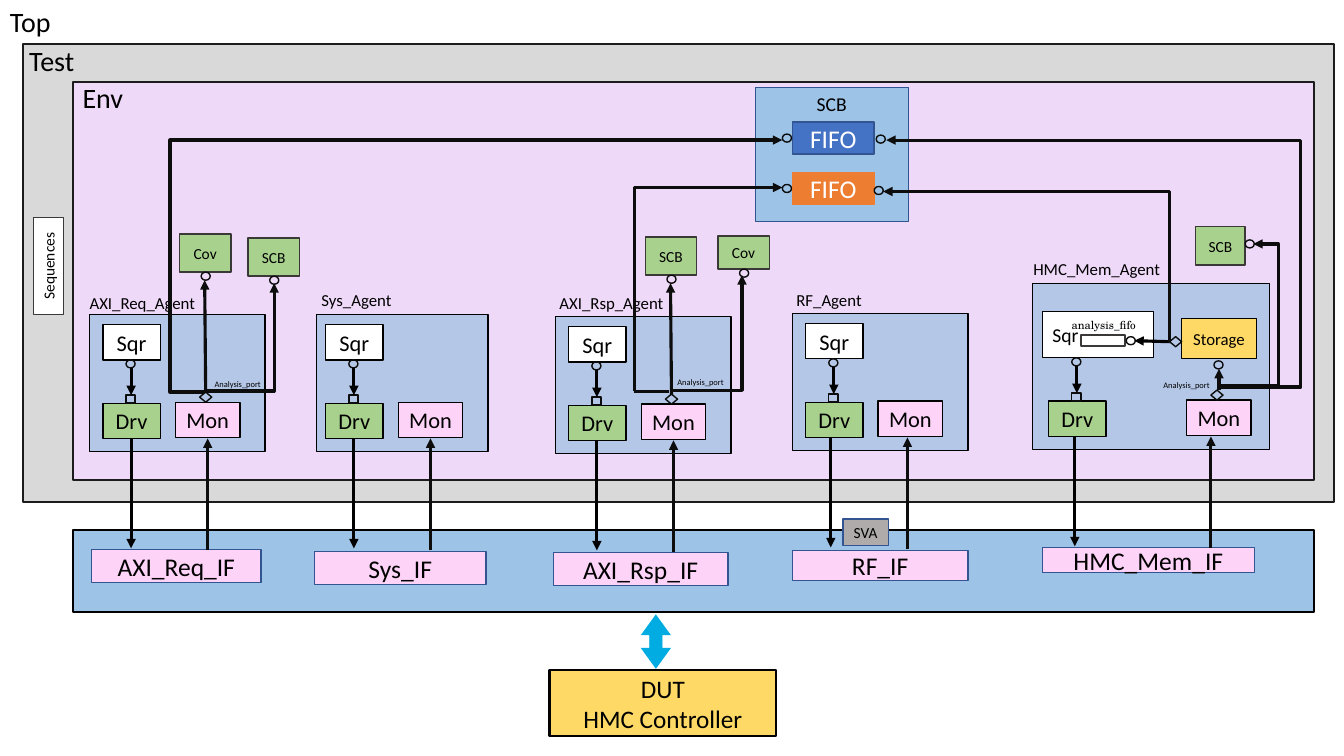
from dataclasses import dataclass
from lxml import etree
from pptx import Presentation
from pptx.dml.color import RGBColor
from pptx.enum.shapes import MSO_CONNECTOR, MSO_SHAPE
from pptx.enum.text import MSO_ANCHOR, PP_ALIGN
from pptx.oxml.ns import qn
from pptx.util import Cm, Pt

RECT, OVAL, DIAMOND = MSO_SHAPE.RECTANGLE, MSO_SHAPE.OVAL, MSO_SHAPE.DIAMOND
ARROW = MSO_SHAPE.RIGHT_ARROW
STRAIGHT, ELBOW = MSO_CONNECTOR.STRAIGHT, MSO_CONNECTOR.ELBOW
LEFT, CENTER = PP_ALIGN.LEFT, PP_ALIGN.CENTER
TOP, MIDDLE = MSO_ANCHOR.TOP, MSO_ANCHOR.MIDDLE
GRID = 2.54  # cm per layout unit


@dataclass(frozen=True)
class Theme:
    font: str = "Calibri"
    serif: str = "TeX Gyre Schola"
    black: str = "000000"
    wire: str = "0D0D0D"
    frame: str = "1C1C1C"
    edge: str = "3B3838"
    navy: str = "325491"
    white: str = "FFFFFF"
    test: str = "D9D9D9"
    env: str = "EFD9F8"
    agent: str = "B4C7E7"
    sky: str = "9DC3E6"
    pink: str = "FDD3F7"
    green: str = "A9D18E"
    gold: str = "FFD966"
    gray: str = "AFABAB"
    blue: str = "4472C4"
    orange: str = "ED7D31"
    cyan: str = "00ACE2"
    region: float = 20
    interface: float = 18.2
    dut: float = 18
    component: float = 16
    heading: float = 14
    name: float = 12
    small: float = 11
    fifo: float = 8
    port: float = 6


T = Theme()


@dataclass(frozen=True)
class Agent:
    name: str
    box: tuple
    driver_x: float
    monitor_x: float
    label: tuple
    driver_wire: float = 0.28
    monitor_wire: float = 0.32
    port_label: tuple = ()
    sequencer: tuple = (0, 0.1, 0.57, 0.35)
    sequencer_size: float = T.component
    sequencer_align: PP_ALIGN = CENTER


AGENTS = [
    Agent("AXI_Req_Agent", (0.89, 3.12, 1.74, 1.36), 0.13, 0.85, (-0.1, -0.26), port_label=(1.14, 0.59)),
    Agent("Sys_Agent", (3.14, 3.12, 1.7, 1.36), 0.09, 0.81, (-0.05, -0.29)),
    Agent("AXI_Rsp_Agent", (5.51, 3.14, 1.74, 1.36), 0.13, 0.85, (-0.06, -0.28), port_label=(1.11, 0.55)),
    Agent("RF_Agent", (7.86, 3.11, 1.74, 1.36), 0.13, 0.85, (-0.06, -0.28), 0.25, 0.29),
    Agent("HMC_Mem_Agent", (10.24, 2.81, 2.35, 1.65), 0.16, 1.53, (-0.09, -0.29), 0.26, 0.24,
          (1.2, 0.91), (-0.06, 0.28, 1.1, 0.46), T.heading, LEFT),
]
INTERFACES = [
    ("AXI_Req_IF", (0.91, 5.45, 1.68, 0.33)), ("Sys_IF", (3.12, 5.47, 1.7, 0.33)),
    ("AXI_Rsp_IF", (5.49, 5.48, 1.73, 0.33)), ("RF_IF", (7.86, 5.46, 1.74, 0.3)),
    ("HMC_Mem_IF", (10.34, 5.43, 2.1, 0.25)),
]


def lengths(*values):
    return [Cm(value * GRID) for value in values]


def write(frame, text, size, color, align, font):
    frame.word_wrap = True
    for index, line in enumerate(text.split("\n")):
        paragraph = frame.paragraphs[0] if index == 0 else frame.add_paragraph()
        paragraph.alignment = align
        run = paragraph.add_run()
        run.text = line
        run.font.name, run.font.size = font, Pt(size)
        run.font.color.rgb = RGBColor.from_string(color)


def block(slide, box, fill=None, line=None, text="", size=T.component, color=T.black,
          width=1, kind=RECT, align=CENTER, anchor=MIDDLE, top=0):
    shape = slide.shapes.add_shape(kind, *lengths(*box))
    shape.shadow.inherit = False
    if fill:
        shape.fill.solid()
        shape.fill.fore_color.rgb = RGBColor.from_string(fill)
    else:
        shape.fill.background()
    if line:
        shape.line.color.rgb = RGBColor.from_string(line)
        shape.line.width = Pt(width)
    else:
        shape.line.fill.background()
    if text:
        frame = shape.text_frame
        side = 0.1 if align == LEFT else 0
        frame.margin_left, frame.margin_right, frame.margin_top, frame.margin_bottom = lengths(side, side, top, 0)
        frame.vertical_anchor = anchor
        write(frame, text, size, color, align, T.font)
    return shape


def label(slide, box, text, size, font=T.font):
    write(slide.shapes.add_textbox(*lengths(*box)).text_frame, text, size, T.black, LEFT, font)


def pin(slide, x, y, kind=OVAL):
    size = (0.12, 0.1) if kind == DIAMOND else (0.09, 0.08)
    block(slide, (x, y, *size), line=T.wire, kind=kind)


def wire(slide, start, end, color=T.wire, kind=STRAIGHT, head=True):
    connector = slide.shapes.add_connector(kind, *lengths(*start, *end))
    connector.line.color.rgb = RGBColor.from_string(color)
    connector.line.width = Pt(2.25)
    properties = connector._element.spPr
    if head:
        etree.SubElement(properties.find(qn("a:ln")), qn("a:tailEnd"), type="triangle")
    etree.SubElement(properties, qn("a:effectLst"))
    return connector


def bent_wire(slide, start, end, bends=(), upward=False):
    """Elbow arrow; bends are fractions of the run, upward starts with a vertical leg."""
    if upward:
        run, rise = start[1] - end[1], end[0] - start[0]
        x, y = (start[0] + end[0]) / 2, (start[1] + end[1]) / 2
        start, end = (x - run / 2, y - rise / 2), (x + run / 2, y + rise / 2)
    properties = wire(slide, start, end, kind=ELBOW)._element.spPr
    if upward:
        properties.find(qn("a:xfrm")).set("rot", "16200000")
    geometry = properties.find(qn("a:prstGeom"))
    geometry.set("prst", f"bentConnector{len(bends) + 2}")
    guides = geometry.find(qn("a:avLst"))
    for number, bend in enumerate(bends, 1):
        etree.SubElement(guides, qn("a:gd"), name=f"adj{number}", fmla=f"val {round(bend * 100000)}")


def draw_regions(slide, test, env):
    block(slide, test, T.test, T.frame, width=1.5)
    label(slide, (0, 0, 0.72, 0.44), "Top", T.region)
    label(slide, (test[0] - 0.04, test[1] - 0.06, 0.72, 0.44), "Test", T.region)
    block(slide, env, T.env, T.frame, width=1.5)
    label(slide, (env[0], env[1] - 0.06, 2.05, 0.44), "Env", T.region)
    sequences = block(slide, (test[0] - 0.23, test[1] + 2.05, 0.96, 0.3), T.white, T.edge, "Sequences", T.small)
    sequences.rotation = 270


def draw_dut(slide, box):
    x, y = box[:2]
    block(slide, box, T.gold, T.black, "DUT\nHMC Controller", T.dut, width=1.5)
    for rise, turn in ((0.39, 90), (0.48, 270)):
        arrow = block(slide, (x + 0.83, y - rise, 0.45, 0.3), T.cyan, kind=ARROW)
        arrow.rotation = turn
        arrow.adjustments[0], arrow.adjustments[1] = 0.42, 0.69


def draw_interfaces(slide, box):
    block(slide, box, T.sky, T.black, width=1.5)
    for name, place in INTERFACES:
        block(slide, place, T.pink, T.navy, name, T.interface)
    block(slide, (box[0] + 7.64, box[1] - 0.11, 0.45, 0.26), T.gray, T.navy, "SVA", T.small)


def draw_agent(slide, agent):
    x, y, width, height = agent.box
    bottom, driver, monitor = y + height, x + agent.driver_x, x + agent.monitor_x
    block(slide, agent.box, T.agent, T.black)
    label(slide, (x + agent.label[0], y + agent.label[1], 2.05, 0.3), agent.name, T.name)
    # Sequencer, driver and monitor
    dx, dy, *size = agent.sequencer
    block(slide, (driver + dx, y + dy, *size), T.white, T.black, "Sqr", agent.sequencer_size,
          align=agent.sequencer_align)
    block(slide, (driver, bottom - 0.48, 0.57, 0.35), T.green, T.black, "Drv")
    block(slide, (monitor, bottom - 0.49, 0.64, 0.35), T.pink, T.black, "Mon")
    pin(slide, driver + 0.23, bottom - 0.91)
    pin(slide, driver + 0.23, bottom - 0.56, RECT)
    wire(slide, (driver + 0.28, bottom - 0.83), (driver + 0.28, bottom - 0.56), T.black)
    # Analysis port
    if agent.port_label:
        pin(slide, monitor + 0.24, bottom - 0.59, DIAMOND)
        label(slide, (x + agent.port_label[0], y + agent.port_label[1], 0.71, 0.2), "Analysis_port", T.port)
    # Links to the interface
    down, up = driver + agent.driver_wire, monitor + agent.monitor_wire
    wire(slide, (down, bottom - 0.13), (down, bottom + 0.96), T.black)
    wire(slide, (up, bottom + 0.98), (up, bottom - 0.13))


def draw_storage(slide, box):
    x, y, width, height = box
    block(slide, box, T.gold, T.black, "Storage", T.name)
    pin(slide, x + 0.32, y + height + 0.02)
    pin(slide, x - 0.12, y + 0.18, DIAMOND)
    block(slide, (x - 1, y + 0.16, 0.44, 0.11), line=T.edge, width=1.5)
    pin(slide, x - 0.55, y + 0.18)
    wire(slide, (x - 0.12, y + 0.23), (x - 0.47, y + 0.22), T.black)
    label(slide, (x - 1.19, y - 0.05, 2.05, 0.24), "analysis_fifo", T.fifo, T.serif)


def draw_scoreboard(slide, box):
    x, y = box[:2]
    block(slide, box, T.sky, T.navy, "SCB", T.heading, anchor=TOP, top=0.04)
    for dy, fill, line, right in ((0.34, T.blue, T.navy, (1.2, 0.47)), (0.84, T.orange, T.orange, (1.18, 0.98))):
        block(slide, (x + 0.37, y + dy, 0.81, 0.32), fill, line, "FIFO", T.interface, T.white)
        pin(slide, x + 0.27, y + dy + 0.12)
        pin(slide, x + right[0], y + right[1])


def draw_subscriber(slide, box, name, beside=False):
    x, y, width, height = box
    block(slide, box, T.green, T.edge, name, T.small)
    if beside:
        pin(slide, x + width, y + height / 2 - 0.06)
    else:
        pin(slide, x + width / 2 - 0.04, y + height)


def draw_analysis_wires(slide):
    # Monitors to subscribers and storage
    wire(slide, (2.04, 3.89), (2.03, 2.78))
    wire(slide, (6.66, 3.92), (6.65, 2.81))
    wire(slide, (12.09, 3.87), (12.09, 3.66))
    bent_wire(slide, (2.04, 3.89), (2.72, 2.81), (0.01,), upward=True)
    bent_wire(slide, (6.66, 3.92), (7.36, 2.73), (0.04,), upward=True)
    bent_wire(slide, (12.09, 3.87), (12.43, 2.42), (0.03, 1.73), upward=True)
    # Monitors and storage to the scoreboard queues
    bent_wire(slide, (2.03, 3.89), (7.76, 1.39), (-0.06,))
    bent_wire(slide, (12.08, 3.84), (8.79, 1.39), (-0.25,))
    bent_wire(slide, (11.6, 3.39), (8.76, 1.9), (0,))
    bent_wire(slide, (6.29, 3.88), (7.76, 1.86), upward=True)
    wire(slide, (6.29, 3.88), (6.64, 3.88), head=False)


presentation = Presentation()
presentation.slide_width, presentation.slide_height = lengths(13.33, 7.5)
testbench = presentation.slides.add_slide(presentation.slide_layouts[6])
draw_regions(testbench, (0.23, 0.44, 13, 4.54), (0.72, 0.81, 12.31, 3.95))
draw_interfaces(testbench, (0.72, 5.26, 12.31, 0.81))
draw_dut(testbench, (5.45, 6.65, 2.25, 0.65))
for each_agent in AGENTS:
    draw_agent(testbench, each_agent)
draw_storage(testbench, (11.72, 3.16, 0.74, 0.4))
draw_scoreboard(testbench, (7.49, 0.87, 1.52, 1.33))
draw_subscriber(testbench, (1.78, 2.32, 0.51, 0.38), "Cov")
draw_subscriber(testbench, (2.46, 2.36, 0.51, 0.38), "SCB")
draw_subscriber(testbench, (6.4, 2.35, 0.51, 0.38), "SCB")
draw_subscriber(testbench, (7.12, 2.34, 0.51, 0.33), "Cov")
draw_subscriber(testbench, (11.86, 2.25, 0.49, 0.38), "SCB", beside=True)
draw_analysis_wires(testbench)
presentation.save("out.pptx")
